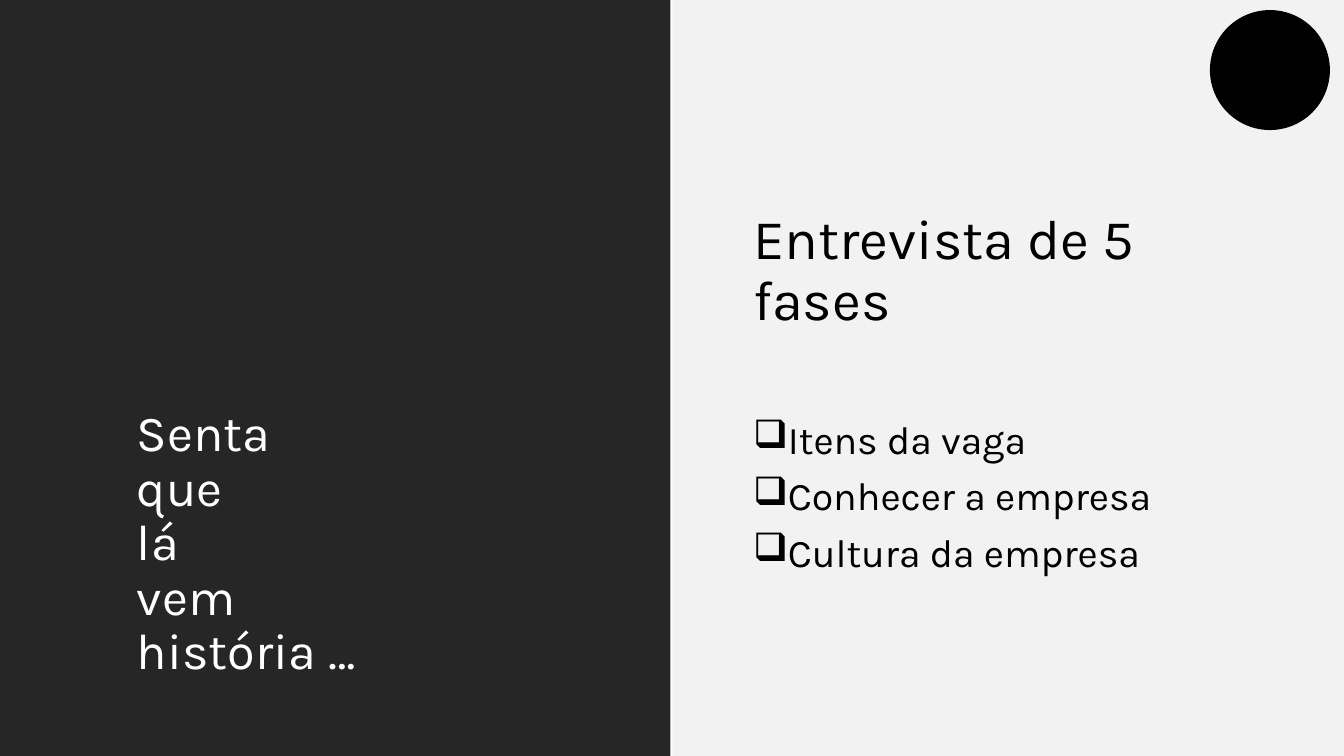
from dataclasses import dataclass

from lxml import etree
from pptx import Presentation
from pptx.dml.color import RGBColor
from pptx.enum.shapes import MSO_SHAPE
from pptx.enum.text import MSO_ANCHOR
from pptx.oxml.ns import qn
from pptx.util import Inches, Pt

RECT, OVAL = MSO_SHAPE.RECTANGLE, MSO_SHAPE.OVAL
MIDDLE, BOTTOM = MSO_ANCHOR.MIDDLE, MSO_ANCHOR.BOTTOM


@dataclass(frozen=True)
class Theme:
    font: str = "Karla"
    dark: str = "262626"
    light: str = "F2F2F2"
    black: str = "000000"
    white: str = "FFFFFF"
    title: int = 36
    heading: int = 40
    item: int = 28
    line_spacing: float = 0.9
    item_gap: int = 10
    list_gap: int = 63


THEME = Theme()


def add_block(s, box, shape, color):
    sp = s.shapes.add_shape(shape, *map(Inches, box))
    sp.shadow.inherit = False
    sp.fill.solid()
    sp.fill.fore_color.rgb = RGBColor.from_string(color)
    sp.line.fill.background()


def add_text_frame(s, box, anchor):
    tf = s.shapes.add_textbox(*map(Inches, box)).text_frame
    tf.word_wrap = True
    tf.vertical_anchor = anchor
    return tf


def write(p, text, size, color):
    p.text = text
    p.line_spacing = THEME.line_spacing
    for r in p.runs:
        r.font.name = THEME.font
        r.font.size = Pt(size)
        r.font.color.rgb = RGBColor.from_string(color)


def add_checkbox(p):
    pPr = p._p.get_or_add_pPr()
    pPr.set("marL", str(Inches(0.25)))
    pPr.set("indent", str(-Inches(0.25)))
    etree.SubElement(pPr, qn("a:buChar")).set("char", "❑")


def title_panel(s, box, lines):
    x, y, w, h = box
    add_block(s, box, RECT, THEME.dark)
    tf = add_text_frame(s, (x + 1.26, y + 0.7, 4.69, h - 1.4), BOTTOM)
    write(tf.paragraphs[0], "\v".join(lines), THEME.title, THEME.white)


def list_panel(s, box, heading, items):
    x, y, w, h = box
    add_block(s, box, RECT, THEME.light)
    tf = add_text_frame(s, (x + 0.7, y + 0.7, 4.71, 6.41), MIDDLE)
    write(tf.paragraphs[0], heading, THEME.heading, THEME.black)
    for i, item in enumerate(items):
        p = tf.add_paragraph()
        add_checkbox(p)
        write(p, item, THEME.item, THEME.black)
        p.space_before = Pt(THEME.item_gap if i else THEME.list_gap)
    add_block(s, (x + w - 1.33, y + 0.1, 1.19, 1.19), OVAL, THEME.black)


def main():
    prs = Presentation()
    prs.slide_width, prs.slide_height = Inches(13.33), Inches(7.5)
    s = prs.slides.add_slide(prs.slide_layouts[6])
    title_panel(s, (0, 0, 6.65, 7.5), ["Senta", "que", "lá", "vem", "história …"])
    list_panel(s, (6.67, 0, 6.66, 7.5), "Entrevista de 5 fases",
               ["Itens da vaga", "Conhecer a empresa", "Cultura da empresa"])
    prs.save("out.pptx")


if __name__ == "__main__":
    main()
